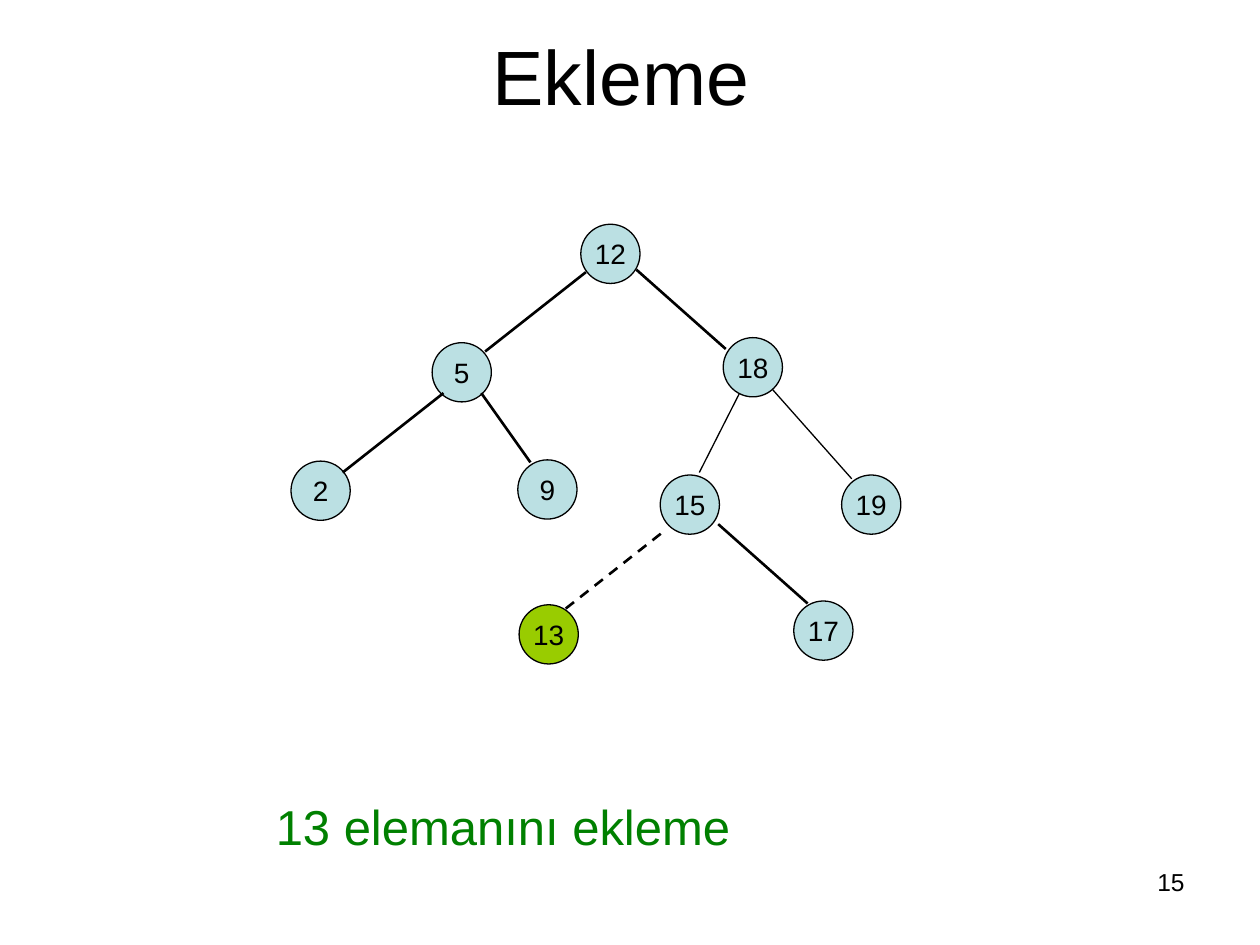
from pptx import Presentation
from pptx.dml.color import RGBColor as Rgb
from pptx.enum.dml import MSO_LINE as Dash
from pptx.enum.shapes import MSO_CONNECTOR as Conn, MSO_SHAPE as Kind
from pptx.enum.text import MSO_ANCHOR as Anchor, PP_ALIGN as Align
from pptx.oxml.ns import qn
from pptx.util import Inches, Pt
from lxml.etree import SubElement

SIZE = 0.47
BLUE, LIME, BLACK, GREEN = "BBE0E3", "99CC00", "000000", "008000"
NODES = [
    ("12", 4.61, 1.78, BLUE),
    ("5", 3.43, 2.72, BLUE),
    ("18", 5.74, 2.68, BLUE),
    ("2", 2.31, 3.66, BLUE),
    ("9", 4.11, 3.65, BLUE),
    ("15", 5.24, 3.77, BLUE),
    ("19", 6.68, 3.77, BLUE),
    ("13", 4.12, 4.8, LIME),
    ("17", 6.3, 4.77, BLUE),
]
EDGES = [
    ((3.85, 2.79), (4.65, 2.16), 1.5, None),
    ((5.05, 2.14), (5.76, 2.77), 1.5, None),
    ((2.72, 3.75), (3.52, 3.12), 1.5, None),
    ((3.82, 3.12), (4.21, 3.67), 1.5, None),
    ((5.87, 3.12), (5.55, 3.75), 0.75, None),
    ((6.13, 3.09), (6.76, 3.8), 0.75, None),
    ((4.49, 4.83), (5.29, 4.2), 1.5, Dash.DASH),
    ((5.7, 4.16), (6.41, 4.79), 1.5, None),
]


def paint(part, tint):
    """Give a fill or font a solid colour from a hex string."""
    part.rgb = Rgb.from_string(tint)


def write(shape, text, size, tint=BLACK, align=Align.LEFT,
          anchor=Anchor.TOP, inset=(0.1, 0.05), wrap=True):
    """Set a shape's text and its format."""
    frame = shape.text_frame
    frame.word_wrap = wrap
    frame.vertical_anchor = anchor
    frame.margin_left = frame.margin_right = Inches(inset[0])
    frame.margin_top = frame.margin_bottom = Inches(inset[1])
    para = frame.paragraphs[0]
    para.alignment = align
    run = para.add_run()
    run.text = text
    run.font.name, run.font.size = "Arial", Pt(size)
    paint(run.font.color, tint)


def add_node(slide, label, left, top, tint):
    """Draw one tree node with its key inside."""
    node = slide.shapes.add_shape(
        Kind.OVAL, *map(Inches, (left, top, SIZE, SIZE)))
    node.shadow.inherit = False
    node.fill.solid()
    paint(node.fill.fore_color, tint)
    paint(node.line.color, BLACK)
    node.line.width = Pt(0.75)
    write(node, label, 16, align=Align.CENTER, anchor=Anchor.MIDDLE,
          inset=(0, 0), wrap=False)


def add_edge(slide, start, end, width, dash):
    """Draw one branch between two nodes."""
    edge = slide.shapes.add_connector(
        Conn.STRAIGHT, *map(Inches, start + end))
    paint(edge.line.color, BLACK)
    edge.line.width = Pt(width)
    if dash:
        edge.line.dash_style = dash
    SubElement(edge._element.spPr, qn("a:effectLst"))


def add_title(slide, text):
    """Place and fill the title."""
    title = slide.shapes.title
    title.left, title.top, title.width, title.height = map(
        Inches, (0.43, 0.28, 9, 0.63))
    write(title, text, 44, align=Align.CENTER, anchor=Anchor.MIDDLE,
          inset=(0, 0))


def add_note(slide, text, area, size, **form):
    """Add a line of text in its own box."""
    write(slide.shapes.add_textbox(*map(Inches, area)), text, size, **form)


def main():
    """Build the slide and save it."""
    deck = Presentation()
    deck.slide_width, deck.slide_height = Inches(10), Inches(7.5)
    slide = deck.slides.add_slide(deck.slide_layouts[5])
    add_title(slide, "Ekleme")
    for node in NODES:
        add_node(slide, *node)
    for edge in EDGES:
        add_edge(slide, *edge)
    add_note(slide, "13 elemanını ekleme", (2.09, 6.27, 5.51, 0.57), 28,
             tint=GREEN)
    add_note(slide, "15", (7.17, 6.83, 2.33, 0.52), 14, align=Align.RIGHT)
    deck.save("out.pptx")


if __name__ == "__main__":
    main()
